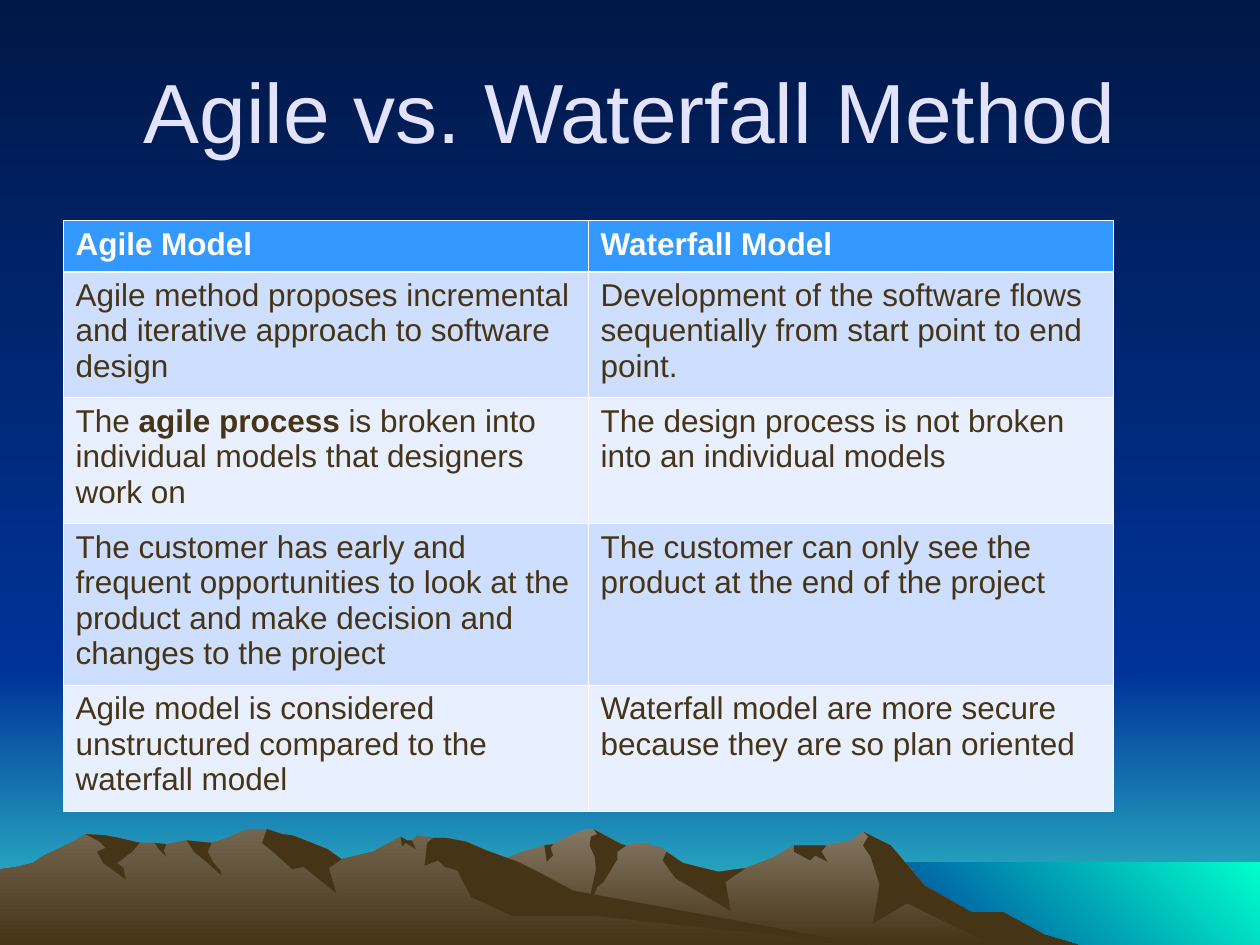
from dataclasses import dataclass
from lxml import etree
from pptx import Presentation
from pptx.dml.color import RGBColor
from pptx.enum.shapes import MSO_SHAPE
from pptx.enum.text import MSO_ANCHOR, PP_ALIGN
from pptx.oxml.ns import qn
from pptx.util import Cm, Pt

RECT = MSO_SHAPE.RECTANGLE
MIDDLE = MSO_ANCHOR.MIDDLE
CENTER = PP_ALIGN.CENTER


@dataclass(frozen=True)
class Theme:
    font: str = "Arial"
    title_size: float = 48
    cell_size: float = 18
    title: str = "E3E3FF"
    white: str = "FFFFFF"
    earth: str = "463416"
    head: str = "3399FF"
    bands: tuple = ("CDDEFF", "E8EFFF")
    night: tuple = ("001847", "003399")
    dusk: tuple = ("003399", "33CCCC")
    sea: tuple = ("003399", "00FFCC")
    far: tuple = ("847864", "463416")
    near: tuple = ("73654F", "463416")
    thin: float = 0.45
    thick: float = 1.47


@dataclass(frozen=True)
class Shade:
    start: int
    end: int
    foot: tuple


@dataclass(frozen=True)
class Range:
    tone: tuple
    crest: tuple
    shades: tuple


THEME = Theme()
WIDTH, HEIGHT = 25.4, 19.05
DUSK_TOP, SEA_TOP, SEA_LEFT = 13.54, 17.39, 17.35
DOWN, RISE = 270, 45

UNIT = Cm(0.0254)
GROUND = 750

FAR = Range(
    THEME.far,
    ((258, 0), (277, 11), (327, 41), (355, 52), (394, 65), (412, 73), (432, 79), (439, 80),
     (450, 86), (465, 92), (471, 92), (493, 80), (497, 79), (509, 81), (526, 77), (529, 74),
     (542, 65), (570, 58), (592, 61), (613, 69), (630, 79), (656, 79), (676, 83), (685, 90),
     (707, 79), (734, 47), (771, 26), (796, 26), (829, 8), (856, 0)),
    (Shade(432, 439, ((437, 77), (439, 71), (434, 66), (433, 73))),
     Shade(471, 497, ((490, 74), (490, 68), (479, 50), (474, 46), (465, 23), (473, 60),
                      (472, 70), (468, 79), (469, 86), (474, 88))),
     Shade(529, 592, ((576, 50), (580, 27), (536, 53), (526, 67))),
     Shade(630, 656, ((652, 74), (657, 66), (647, 71), (643, 67), (630, 74))),
     Shade(685, 856, ((788, 0), (720, 33), (693, 17), (698, 48), (691, 70), (685, 79),
                      (689, 86)))),
)

NEAR = Range(
    THEME.near,
    ((0, 60), (14, 62), (26, 65), (35, 71), (56, 81), (68, 88), (84, 87), (94, 85), (111, 81),
     (123, 81), (132, 80), (148, 83), (168, 81), (178, 84), (196, 92), (212, 92), (224, 88),
     (232, 87), (245, 82), (260, 76), (271, 68), (296, 74), (318, 86), (323, 83), (327, 83),
     (331, 87), (344, 85), (354, 85), (370, 82), (386, 75), (411, 66), (427, 58), (455, 43),
     (690, 0)),
    (Shade(68, 111, ((105, 74), (93, 65), (98, 61), (100, 52), (82, 65), (77, 74), (84, 77),
                     (79, 82))),
     Shade(123, 132, ((130, 75), (132, 70), (126, 76))),
     Shade(148, 168, ((165, 74), (169, 66), (175, 59), (176, 55), (165, 65), (154, 74))),
     Shade(212, 271, ((261, 61), (267, 41), (241, 62), (232, 60), (219, 72), (208, 81))),
     Shade(318, 327, ((330, 76), (322, 81), (319, 78))),
     Shade(344, 690, ((472, 23), (407, 23), (374, 38), (363, 59), (353, 62), (348, 67),
                      (337, 63), (339, 81)))),
)

LINE, PAD = 0.71, 0.41
HEADS = ("Agile Model", "Waterfall Model")
FACTS = [
    (3, "Agile method proposes incremental and iterative approach to software design",
     "Development of the software flows sequentially from start point to end point."),
    (3, "The *agile process* is broken into individual models that designers work on",
     "The design process is not broken into an individual models"),
    (4, "The customer has early and frequent opportunities to look at the product "
     "and make decision and changes to the project",
     "The customer can only see the product at the end of the project"),
    (3, "Agile model is considered unstructured compared to the waterfall model",
     "Waterfall model are more secure because they are so plan oriented"),
]


def rgb(tone):
    return RGBColor.from_string(tone)


def paint(fill, tone, angle=DOWN):
    if isinstance(tone, str):
        fill.solid()
        fill.fore_color.rgb = rgb(tone)
        return
    fill.gradient()
    fill.gradient_angle = angle
    for stop, shade, place in zip(fill.gradient_stops, tone, (0, 1)):
        stop.color.rgb = rgb(shade)
        stop.position = place


def finish(shape, tone, angle=DOWN):
    paint(shape.fill, tone, angle)
    shape.line.fill.background()
    shape.shadow.inherit = False


def add_band(slide, left, top, base, tone, angle=DOWN):
    box = slide.shapes.add_shape(RECT, Cm(left), Cm(top), Cm(WIDTH - left), Cm(base - top))
    finish(box, tone, angle)


def add_sky(slide):
    add_band(slide, 0, DUSK_TOP, HEIGHT, THEME.dusk)
    add_band(slide, 0, 0, DUSK_TOP, THEME.night)
    add_band(slide, SEA_LEFT, SEA_TOP, HEIGHT, THEME.sea, RISE)


def add_rock(slide, spots, tone):
    first, *rest = [(x, GROUND - rise) for x, rise in spots]
    pen = slide.shapes.build_freeform(*first, scale=UNIT)
    pen.add_line_segments(rest, close=True)
    finish(pen.convert_to_shape(), tone)


def add_range(slide, chain):
    west, east = chain.crest[0][0], chain.crest[-1][0]
    add_rock(slide, chain.crest + ((east, 0), (west, 0)), chain.tone)
    for shade in chain.shades:
        rim = tuple(spot for spot in chain.crest if shade.start <= spot[0] <= shade.end)
        add_rock(slide, rim + shade.foot, THEME.earth)


def style(run, size, tone, bold=False):
    run.font.name = THEME.font
    run.font.size = Pt(size)
    run.font.bold = bold
    run.font.color.rgb = rgb(tone)


def set_title(slide, text):
    title = slide.shapes.title
    title.left, title.top, title.width, title.height = Cm(1.27), Cm(0.62), Cm(22.86), Cm(3.18)
    frame = title.text_frame
    frame.text = text
    frame.vertical_anchor = MIDDLE
    line = frame.paragraphs[0]
    line.alignment = CENTER
    style(line.runs[0], THEME.title_size, THEME.title)
    title.element.getparent().append(title.element)


def edge(cell, side, width):
    props = cell._tc.get_or_add_tcPr()
    line = etree.SubElement(props, qn(f"a:ln{side}"), w=str(Pt(width)))
    fill = etree.SubElement(line, qn("a:solidFill"))
    etree.SubElement(fill, qn("a:srgbClr"), val=THEME.white)


def fill_cell(cell, text, row):
    head = row == 0
    for side in "LRTB":
        thick = (row, side) in ((0, "B"), (1, "T"))
        edge(cell, side, THEME.thick if thick else THEME.thin)
    paint(cell.fill, THEME.head if head else THEME.bands[(row - 1) % 2])
    line = cell.text_frame.paragraphs[0]
    for spot, part in enumerate(text.split("*")):
        run = line.add_run()
        run.text = part
        style(run, THEME.cell_size, THEME.white if head else THEME.earth, head or spot % 2 == 1)


def add_grid(slide):
    rows = [(1.03, *HEADS)]
    rows += [(PAD + LINE * lines, *pair) for lines, *pair in FACTS]
    tall = sum(row[0] for row in rows)
    frame = slide.shapes.add_table(
        len(rows), len(HEADS), Cm(1.27), Cm(4.45), Cm(21.17), Cm(tall))
    table = frame.table
    for row, (height, *texts) in enumerate(rows):
        table.rows[row].height = Cm(height)
        for col, text in enumerate(texts):
            fill_cell(table.cell(row, col), text, row)


def main():
    deck = Presentation()
    deck.slide_width, deck.slide_height = Cm(WIDTH), Cm(HEIGHT)
    slide = deck.slides.add_slide(deck.slide_layouts[5])
    paint(slide.background.fill, THEME.night)
    add_sky(slide)
    for chain in (FAR, NEAR):
        add_range(slide, chain)
    set_title(slide, "Agile vs. Waterfall Method")
    add_grid(slide)
    deck.save("out.pptx")


if __name__ == "__main__":
    main()
